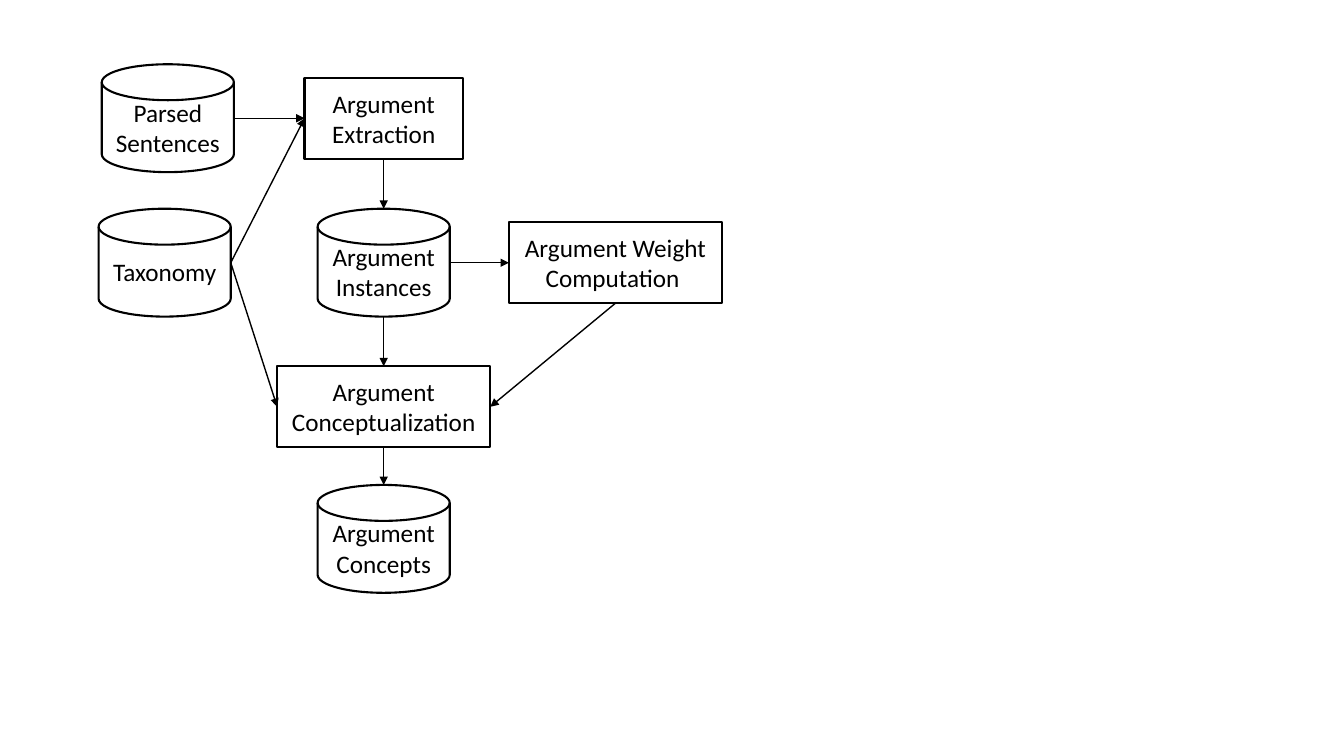
from dataclasses import dataclass

from lxml import etree
from pptx import Presentation
from pptx.dml.color import RGBColor
from pptx.enum.shapes import MSO_CONNECTOR, MSO_SHAPE
from pptx.enum.text import MSO_ANCHOR, PP_ALIGN
from pptx.oxml.ns import qn
from pptx.util import Cm, Pt

DISK = MSO_SHAPE.FLOWCHART_MAGNETIC_DISK
RECT = MSO_SHAPE.RECTANGLE
LINE = MSO_CONNECTOR.STRAIGHT
MIDDLE = MSO_ANCHOR.MIDDLE
CENTER = PP_ALIGN.CENTER


@dataclass(frozen=True)
class Theme:
    ink: RGBColor = RGBColor(0, 0, 0)
    paper: RGBColor = RGBColor(255, 255, 255)
    font: str = "Calibri"
    text: Pt = Pt(18)
    edge: Pt = Pt(1.5)
    arrow: Pt = Pt(1)


THEME = Theme()

# Centres of the columns and rows, in cm
TAX, SENT, MAIN, SIDE = 4.15, 4.23, 9.67, 15.51
ROWS = 2.98, 6.62, 10.25, 13.58

# Shape, width and height in cm
STORE = DISK, 3.33, 2.72
STEP = RECT, 3.99, 2.04
WIDE = RECT, 5.37, 2.04

NODES = {
    "sent": ("Parsed Sentences", STORE, SENT, ROWS[0]),
    "tax": ("Taxonomy", STORE, TAX, ROWS[1]),
    "inst": ("Argument Instances", STORE, MAIN, ROWS[1]),
    "extract": ("Argument Extraction", STEP, MAIN, ROWS[0]),
    "weight": ("Argument Weight Computation ", WIDE, SIDE, ROWS[1]),
    "concept": ("Argument Conceptualization", WIDE, MAIN, ROWS[2]),
    "result": ("Argument Concepts", STORE, MAIN, ROWS[3]),
}

# Side of a node as steps of half its width and height
LEFT, RIGHT, TOP, BOTTOM = (-1, 0), (1, 0), (0, -1), (0, 1)

LINKS = [
    ("sent", RIGHT, "extract", LEFT),
    ("tax", RIGHT, "extract", LEFT),
    ("extract", BOTTOM, "inst", TOP),
    ("inst", BOTTOM, "concept", TOP),
    ("concept", BOTTOM, "result", TOP),
    ("weight", BOTTOM, "concept", RIGHT),
    ("inst", RIGHT, "weight", LEFT),
    ("tax", RIGHT, "concept", LEFT),
]


def style(item, values):
    for name, value in values.items():
        setattr(item, name, value)


def add_node(slide, text, kind, x, y):
    """Draw a labelled shape centred on x, y."""
    form, wide, high = kind
    node = slide.shapes.add_shape(
        form, Cm(x - wide / 2), Cm(y - high / 2), Cm(wide), Cm(high))
    node.shadow.inherit = False
    node.fill.solid()
    node.fill.fore_color.rgb = THEME.paper
    node.line.color.rgb = THEME.ink
    node.line.width = THEME.edge
    frame = node.text_frame
    style(frame, {"word_wrap": True, "vertical_anchor": MIDDLE})
    para = frame.paragraphs[0]
    para.alignment = CENTER
    run = para.add_run()
    run.text = text
    style(run.font, {"name": THEME.font, "size": THEME.text})
    run.font.color.rgb = THEME.ink


def find_port(key, side):
    """Give the middle of one side of a node."""
    _, (_, wide, high), x, y = NODES[key]
    return Cm(x + side[0] * wide / 2), Cm(y + side[1] * high / 2)


def add_arrow(slide, start, end):
    arrow = slide.shapes.add_connector(LINE, *start, *end)
    arrow.line.color.rgb = THEME.ink
    arrow.line.width = THEME.arrow
    edge = arrow.line._get_or_add_ln()
    etree.SubElement(edge, qn("a:tailEnd"), type="triangle")
    etree.SubElement(arrow._element.spPr, qn("a:effectLst"))


def main():
    deck = Presentation()
    style(deck, {"slide_width": Cm(33.87), "slide_height": Cm(19.05)})
    slide = deck.slides.add_slide(deck.slide_layouts[6])
    for node in NODES.values():
        add_node(slide, *node)
    for source, out, target, into in LINKS:
        add_arrow(slide, find_port(source, out), find_port(target, into))
    deck.save("out.pptx")


if __name__ == "__main__":
    main()
